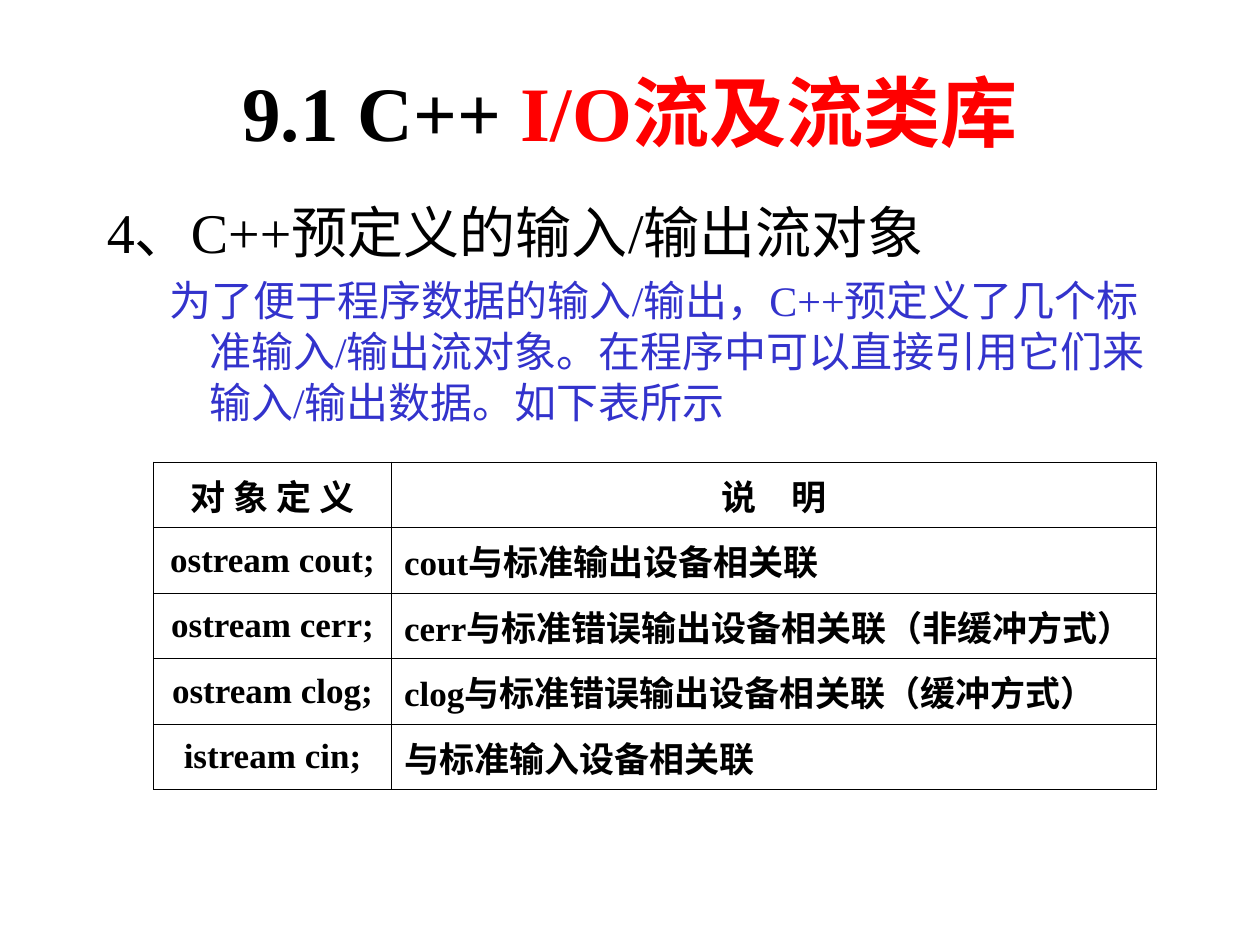
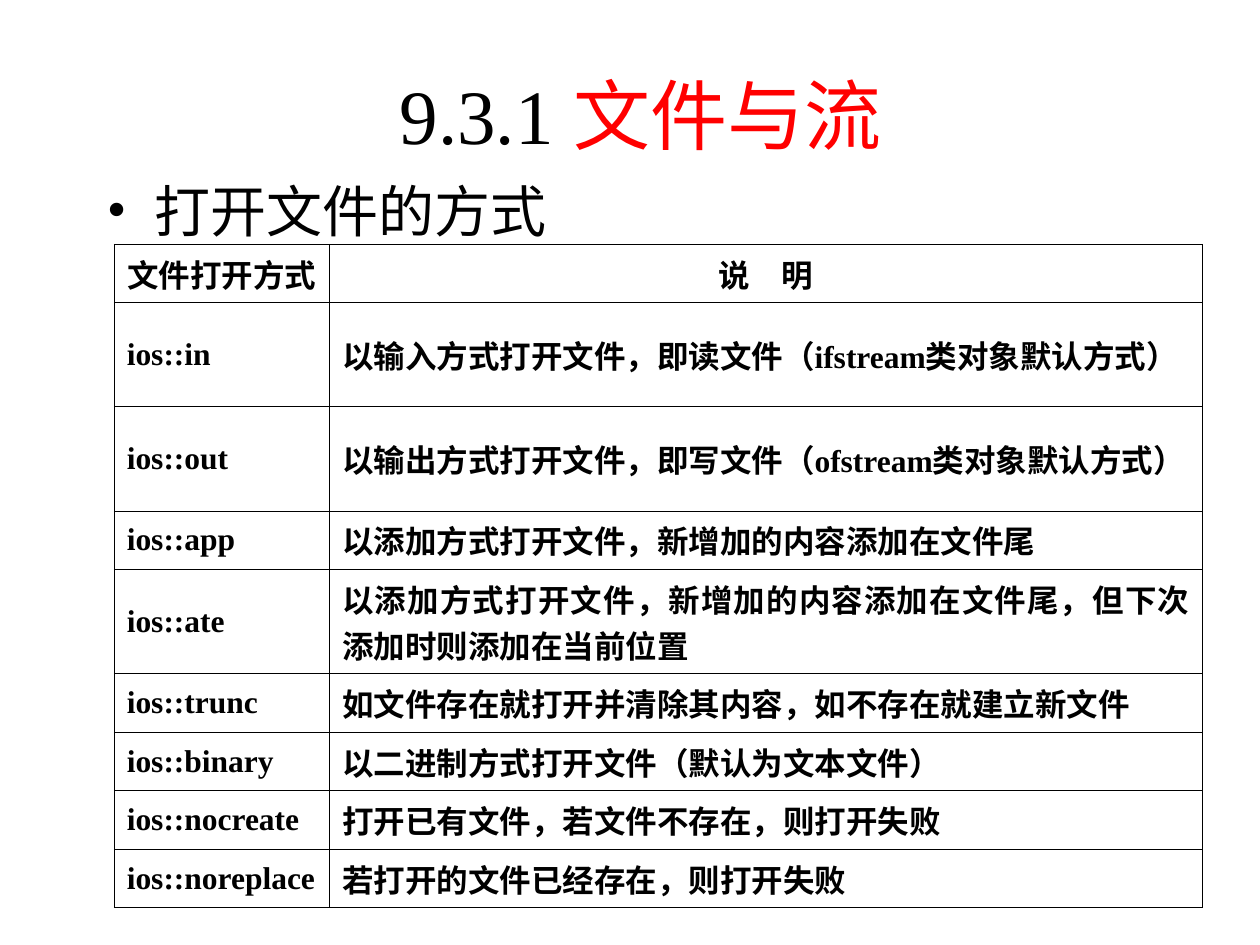
"""Build two lecture slides on C++ stream objects and file open modes."""
import pptx
import pptx.dml.color
import pptx.enum.text
import pptx.oxml.ns
import pptx.util
from lxml import etree

Pt = pptx.util.Pt
ALIGN = pptx.enum.text.PP_ALIGN
MIDDLE = pptx.enum.text.MSO_ANCHOR.MIDDLE
COLOURS = {"ink": "000000", "accent": "FF0000", "note": "3333CC"}
FONT = "Times New Roman"
BORDER_WIDTH = 0.45

HEADING = {"size": 32, "colour": "ink", "left": 27, "indent": -27, "line": 41.5}
NOTE = {"size": 24, "colour": "note", "left": 58.5, "indent": -22.5, "line": 28.9, "before": 6}

SLIDES = [
    {
        "title": [("9.1 C++ ", "ink"), ("I/O流及流类库", "accent")],
        "title_box": (54, 31.5, 612, 63),
        "title_bold": True,
        "body": [
            ("4、C++预定义的输入/输出流对象", HEADING),
            ("为了便于程序数据的输入/输出，C++预定义了几个标准输入/输出流对象。"
             "在程序中可以直接引用它们来输入/输出数据。如下表所示", NOTE),
        ],
        "body_box": (54, 106, 612, 374.5),
        "table_at": (87.75, 264),
        "columns": (136, 437),
        "row_heights": {1: 37.45},
        "size": 20,
        "key_align": ALIGN.CENTER,
        "rows": [
            ("对 象 定 义", "说　明"),
            ("ostream cout;", "cout与标准输出设备相关联"),
            ("ostream cerr;", "cerr与标准错误输出设备相关联（非缓冲方式）"),
            ("ostream clog;", "clog与标准错误输出设备相关联（缓冲方式）"),
            ("istream cin;", "与标准输入设备相关联"),
        ],
    },
    {
        "title": [("9.3.1 ", "ink"), ("文件与流", "accent")],
        "title_box": (60, 20, 612, 90),
        "title_bold": False,
        "body": [("打开文件的方式", HEADING | {"bullet": "•"})],
        "body_box": (54, 94, 612, 374.5),
        "table_at": (65.25, 139.5),
        "columns": (123, 499),
        "row_heights": {1: 33.45, 2: 59.5},
        "size": 18,
        "key_align": ALIGN.JUSTIFY,
        "two_line_rows": (1, 2, 4),
        "rows": [
            ("文件打开方式", "说　明"),
            ("ios::in", "以输入方式打开文件，即读文件（ifstream类对象默认方式）"),
            ("ios::out", "以输出方式打开文件，即写文件（ofstream类对象默认方式）"),
            ("ios::app", "以添加方式打开文件，新增加的内容添加在文件尾"),
            ("ios::ate", "以添加方式打开文件，新增加的内容添加在文件尾，但下次添加时则添加在当前位置"),
            ("ios::trunc", "如文件存在就打开并清除其内容，如不存在就建立新文件"),
            ("ios::binary", "以二进制方式打开文件（默认为文本文件）"),
            ("ios::nocreate", "打开已有文件，若文件不存在，则打开失败"),
            ("ios::noreplace", "若打开的文件已经存在，则打开失败"),
        ],
    },
]


def add_element(parent, tag, **attributes):
    return etree.SubElement(parent, pptx.oxml.ns.qn(tag), attributes)


def add_span(para, text, size, colour, bold=False):
    span = para.add_run()
    span.text = text
    for name, value in {"name": FONT, "size": Pt(size), "bold": bold}.items():
        setattr(span.font, name, value)
    span.font.color.rgb = pptx.dml.color.RGBColor.from_string(COLOURS[colour])


def add_text_box(page, bounds):
    box = page.shapes.add_textbox(*map(Pt, bounds))
    box.text_frame.word_wrap = True
    return box.text_frame


def add_title(page, slide):
    frame = add_text_box(page, slide["title_box"])
    frame.vertical_anchor = MIDDLE
    para = frame.paragraphs[0]
    para.alignment = ALIGN.CENTER
    for text, colour in slide["title"]:
        add_span(para, text, 44, colour, slide["title_bold"])


def add_body(page, slide):
    frame = add_text_box(page, slide["body_box"])
    for index, (text, style) in enumerate(slide["body"]):
        para = frame.add_paragraph() if index else frame.paragraphs[0]
        para.line_spacing = Pt(style["line"])
        if index:
            para.space_before = Pt(style["before"])
        properties = para._p.get_or_add_pPr()
        properties.set("marL", str(Pt(style["left"])))
        properties.set("indent", str(Pt(style["indent"])))
        if "bullet" in style:
            add_element(properties, "a:buFont", typeface=FONT)
            add_element(properties, "a:buChar", char=style["bullet"])
        add_span(para, text, style["size"], style["colour"])


def add_borders(cell):
    properties = cell._tc.get_or_add_tcPr()
    for side in "LRTB":
        line = add_element(properties, f"a:ln{side}", w=str(Pt(BORDER_WIDTH)))
        add_element(add_element(line, "a:solidFill"), "a:srgbClr", val=COLOURS["ink"])


def add_grid(page, slide):
    rows, columns = slide["rows"], slide["columns"]
    tall = slide.get("two_line_rows", ())
    heights = [slide["row_heights"][2 if row in tall else 1] for row in range(len(rows))]
    bounds = (*slide["table_at"], sum(columns), sum(heights))
    table = page.shapes.add_table(len(rows), len(columns), *map(Pt, bounds)).table
    table.first_row = table.horz_banding = False
    for column, width in zip(table.columns, columns):
        column.width = Pt(width)
    for row_index, (row, height) in enumerate(zip(table.rows, heights)):
        row.height = Pt(height)
        for column_index, text in enumerate(rows[row_index]):
            cell = row.cells[column_index]
            add_borders(cell)
            cell.fill.background()
            cell.vertical_anchor = MIDDLE
            para = cell.text_frame.paragraphs[0]
            body_align = ALIGN.JUSTIFY if column_index else slide["key_align"]
            para.alignment = body_align if row_index else ALIGN.CENTER
            add_span(para, text, slide["size"], "ink", True)


def main():
    deck = pptx.Presentation()
    deck.slide_width, deck.slide_height = Pt(720), Pt(540)
    for slide in SLIDES:
        page = deck.slides.add_slide(deck.slide_layouts[6])
        add_title(page, slide)
        add_body(page, slide)
        add_grid(page, slide)
    deck.save("out.pptx")


if __name__ == "__main__":
    main()
